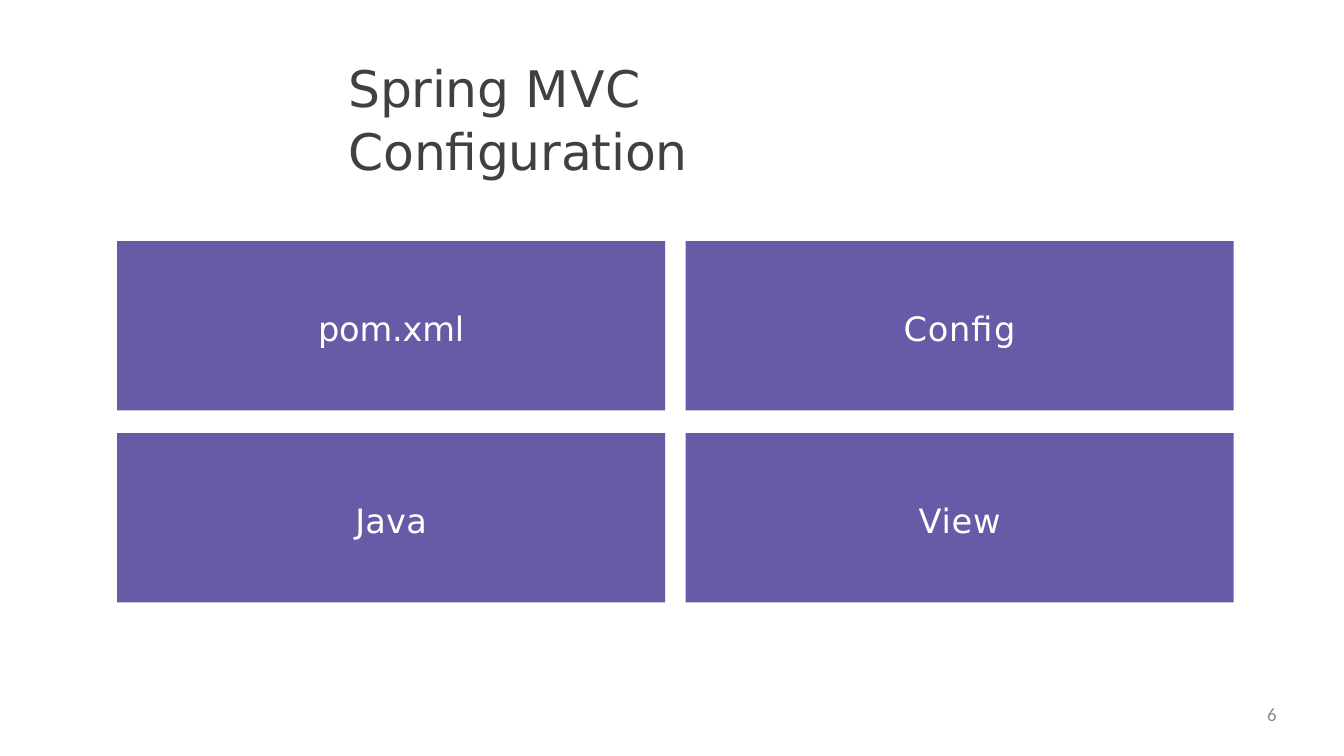
from dataclasses import dataclass

from pptx import Presentation
from pptx.dml.color import RGBColor
from pptx.enum.shapes import MSO_SHAPE
from pptx.enum.text import MSO_ANCHOR, PP_ALIGN
from pptx.util import Inches, Pt


@dataclass(frozen=True)
class Theme:
    purple: RGBColor = RGBColor.from_string("675BA7")
    white: RGBColor = RGBColor.from_string("FFFFFF")
    dark: RGBColor = RGBColor.from_string("404040")
    gray: RGBColor = RGBColor.from_string("8C8C8C")
    font: str = "DejaVu Sans"
    number_font: str = "Calibri"
    title_size: Pt = Pt(48)
    label_size: Pt = Pt(32)
    number_size: Pt = Pt(18)


theme = Theme()


def format_frame(frame, **values):
    margins = dict.fromkeys(
        ("margin_left", "margin_top", "margin_right", "margin_bottom"), 0)
    for name, value in {**margins, "word_wrap": True, **values}.items():
        setattr(frame, name, value)


def add_run(paragraph, text, font, size, color, spacing=0):
    """Add a run; spacing is the letter spacing in points."""
    run = paragraph.add_run()
    run.text = text
    for name, value in {"name": font, "size": size}.items():
        setattr(run.font, name, value)
    run.font.color.rgb = color
    if spacing:
        run.font._element.set("spc", str(round(spacing * 100)))


presentation = Presentation()
presentation.slide_width = Inches(17.78)
presentation.slide_height = Inches(10)
slide = presentation.slides.add_slide(presentation.slide_layouts[6])

# Title, with a right margin that keeps it on two lines
title = slide.shapes.add_textbox(
    Inches(4.59), Inches(0.71), Inches(8.61), Inches(0.83))
format_frame(title.text_frame, margin_left=Inches(0.02),
             margin_top=Inches(0.02), margin_right=Inches(0.5))
paragraph = title.text_frame.paragraphs[0]
paragraph.line_spacing = 1.04
for text, spacing in (("Spring ", -0.3), ("MVC ", 1.4), ("Configuration", -0.2)):
    add_run(paragraph, text, theme.font, theme.title_size, theme.dark, spacing)

# Two-by-two grid of topics
grid_left, grid_top = 1.55, 3.19
box_width, box_height = 7.25, 2.24
column_step, row_step = 7.52, 2.54
topics = (("pom.xml", -0.2), ("Config", 0.8), ("Java", 0.2), ("View", 0.7))
for index, (label, spacing) in enumerate(topics):
    row, column = divmod(index, 2)
    box = slide.shapes.add_shape(
        MSO_SHAPE.RECTANGLE,
        Inches(grid_left + column * column_step),
        Inches(grid_top + row * row_step),
        Inches(box_width), Inches(box_height))
    box.shadow.inherit = False
    box.fill.solid()
    box.fill.fore_color.rgb = theme.purple
    box.line.fill.background()
    format_frame(box.text_frame, margin_top=Inches(0.05),
                 vertical_anchor=MSO_ANCHOR.MIDDLE)
    paragraph = box.text_frame.paragraphs[0]
    paragraph.alignment = PP_ALIGN.CENTER
    add_run(paragraph, label, theme.font, theme.label_size, theme.white, spacing)

# Slide number
number = slide.shapes.add_textbox(
    Inches(12.8), Inches(9.3), Inches(4.09), Inches(0.5))
format_frame(number.text_frame)
paragraph = number.text_frame.paragraphs[0]
paragraph.alignment = PP_ALIGN.RIGHT
add_run(paragraph, "6", theme.number_font, theme.number_size, theme.gray)

presentation.save("out.pptx")
